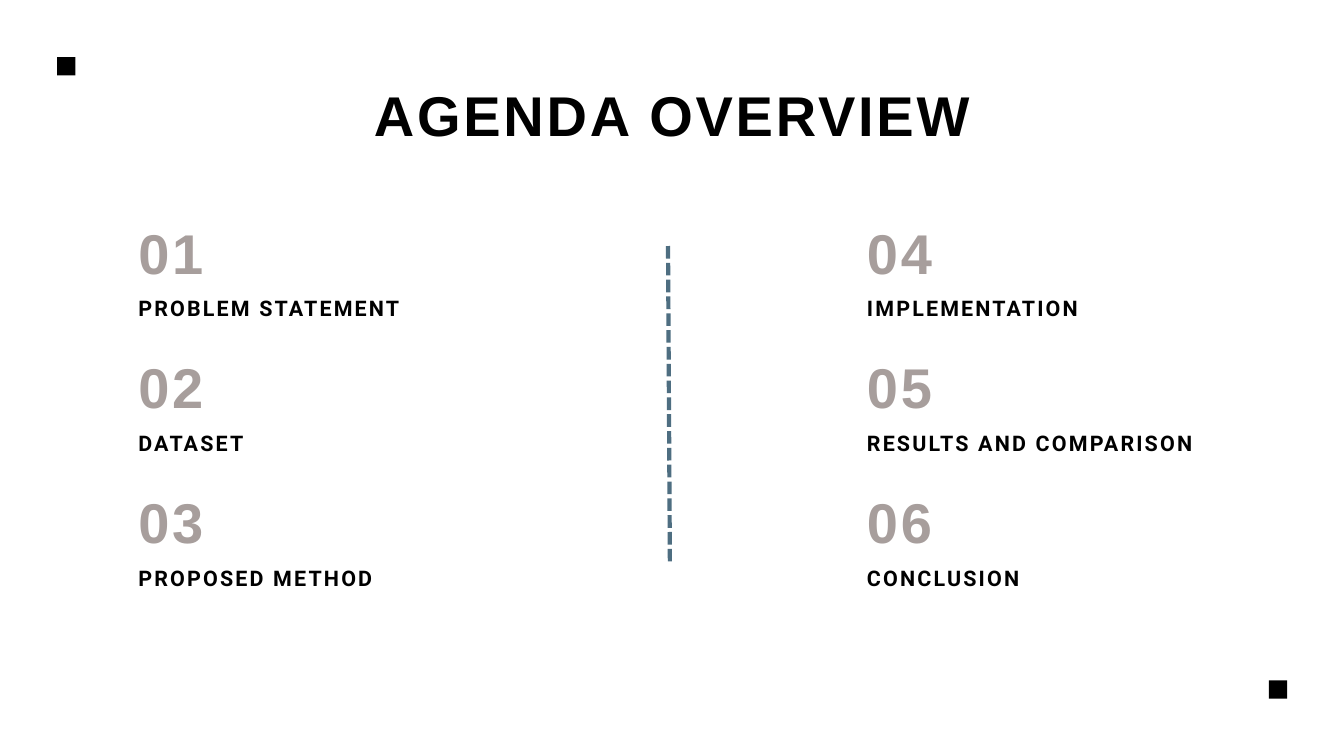
from lxml import etree
from pptx import Presentation
from pptx import util as u
from pptx.dml.color import RGBColor
from pptx.enum import dml, shapes, text
from pptx.oxml import ns

BLACK, TAUPE, BLUE = "000000", "A79E9C", "4E6E81"

TITLE = {"name": "Arial", "size": 60, "spacing": 3, "leading": 84, "color": BLACK}
NUMBER = {**TITLE, "color": TAUPE}
LABEL = {"name": "Roboto", "size": 23, "spacing": 2.3, "leading": 32.2, "color": BLACK}

COLUMNS = [
    (5.23, ["PROBLEM STATEMENT", "DATASET", "PROPOSED METHOD"]),
    (32.77, ["IMPLEMENTATION", "RESULTS AND COMPARISON", "CONCLUSION"]),
]
TOP, ROW_STEP, LABEL_DROP = 7.82, 5.1, 3.18
ITEM_WIDTH, NUMBER_HEIGHT, LABEL_HEIGHT = 13.26, 3, 1.09
SQUARE = 0.69


def rgb(code):
    return RGBColor.from_string(code)


class AgendaPage:
    """Draws the elements of the agenda on one page, all lengths in cm."""

    def __init__(self, page):
        self.page = page

    def words(self, content, style, left, top, width, height,
              align=text.PP_ALIGN.LEFT):
        box = self.page.shapes.add_textbox(
            u.Cm(left), u.Cm(top), u.Cm(width), u.Cm(height))
        frame = box.text_frame
        frame_format = {
            "margin_left": 0, "margin_top": 0,
            "margin_right": 0, "margin_bottom": 0,
            "word_wrap": True,
            "auto_size": text.MSO_AUTO_SIZE.SHAPE_TO_FIT_TEXT,
        }
        for name, value in frame_format.items():
            setattr(frame, name, value)

        para = frame.paragraphs[0]
        para.alignment = align
        para.line_spacing = u.Pt(style["leading"])
        span = para.add_run()
        span.text = content
        font_format = {"name": style["name"], "size": u.Pt(style["size"]), "bold": True}
        for name, value in font_format.items():
            setattr(span.font, name, value)
        span.font.color.rgb = rgb(style["color"])
        # Letter spacing is stored in hundredths of a point
        span._r.get_or_add_rPr().set("spc", str(round(style["spacing"] * 100)))

    def square(self, left, top):
        box = self.page.shapes.add_shape(
            shapes.MSO_SHAPE.RECTANGLE,
            u.Cm(left), u.Cm(top), u.Cm(SQUARE), u.Cm(SQUARE))
        box.shadow.inherit = False
        box.fill.solid()
        box.fill.fore_color.rgb = rgb(BLACK)
        box.line.fill.background()

    def divider(self, start, end):
        connector = self.page.shapes.add_connector(
            shapes.MSO_CONNECTOR.STRAIGHT, *(u.Cm(value) for value in start + end))
        connector.line.color.rgb = rgb(BLUE)
        line_format = {"width": u.Pt(4.5), "dash_style": dml.MSO_LINE.SQUARE_DOT}
        for name, value in line_format.items():
            setattr(connector.line, name, value)
        etree.SubElement(connector._element.spPr, ns.qn("a:effectLst"))


def main():
    deck = Presentation()
    deck.slide_width, deck.slide_height = u.Cm(50.8), u.Cm(28.58)
    agenda = AgendaPage(deck.slides.add_slide(deck.slide_layouts[6]))

    agenda.words("AGENDA OVERVIEW", TITLE, 5.23, 2.62, 40.34, NUMBER_HEIGHT,
                 text.PP_ALIGN.CENTER)

    number = 1
    for left, labels in COLUMNS:
        for row, label in enumerate(labels):
            top = TOP + row * ROW_STEP
            agenda.words(f"{number:02}", NUMBER, left, top, ITEM_WIDTH, NUMBER_HEIGHT)
            agenda.words(label, LABEL, left, top + LABEL_DROP, ITEM_WIDTH, LABEL_HEIGHT)
            number += 1

    agenda.divider((25.25, 9.3), (25.32, 21.29))
    agenda.square(47.96, 25.72)
    agenda.square(2.16, 2.16)
    deck.save("out.pptx")


if __name__ == "__main__":
    main()
